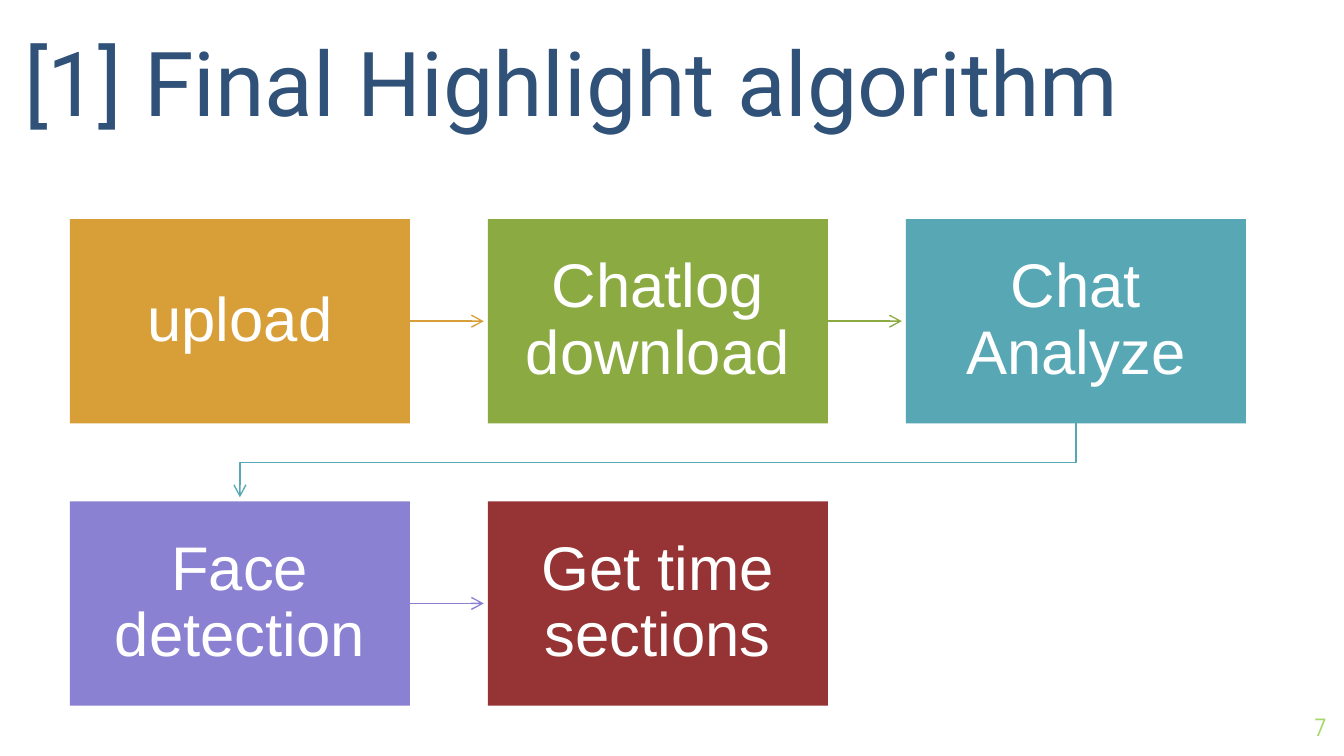
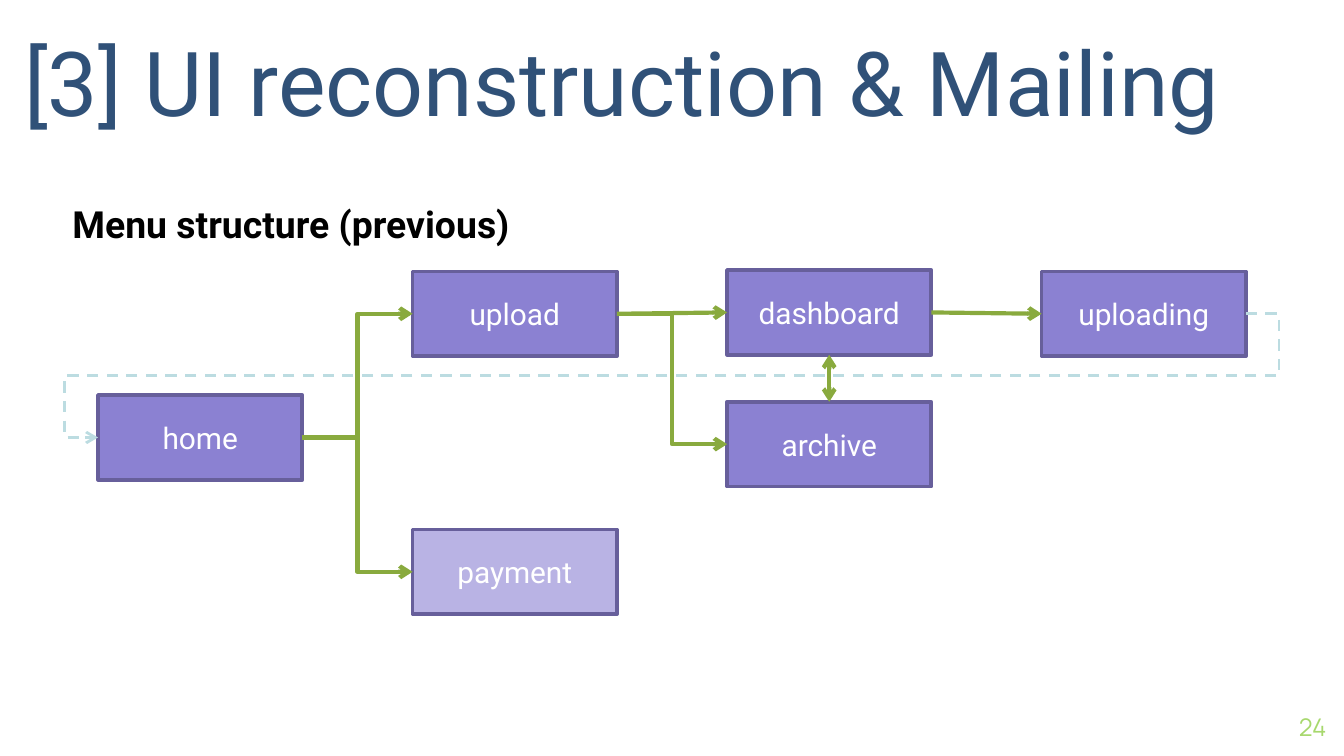
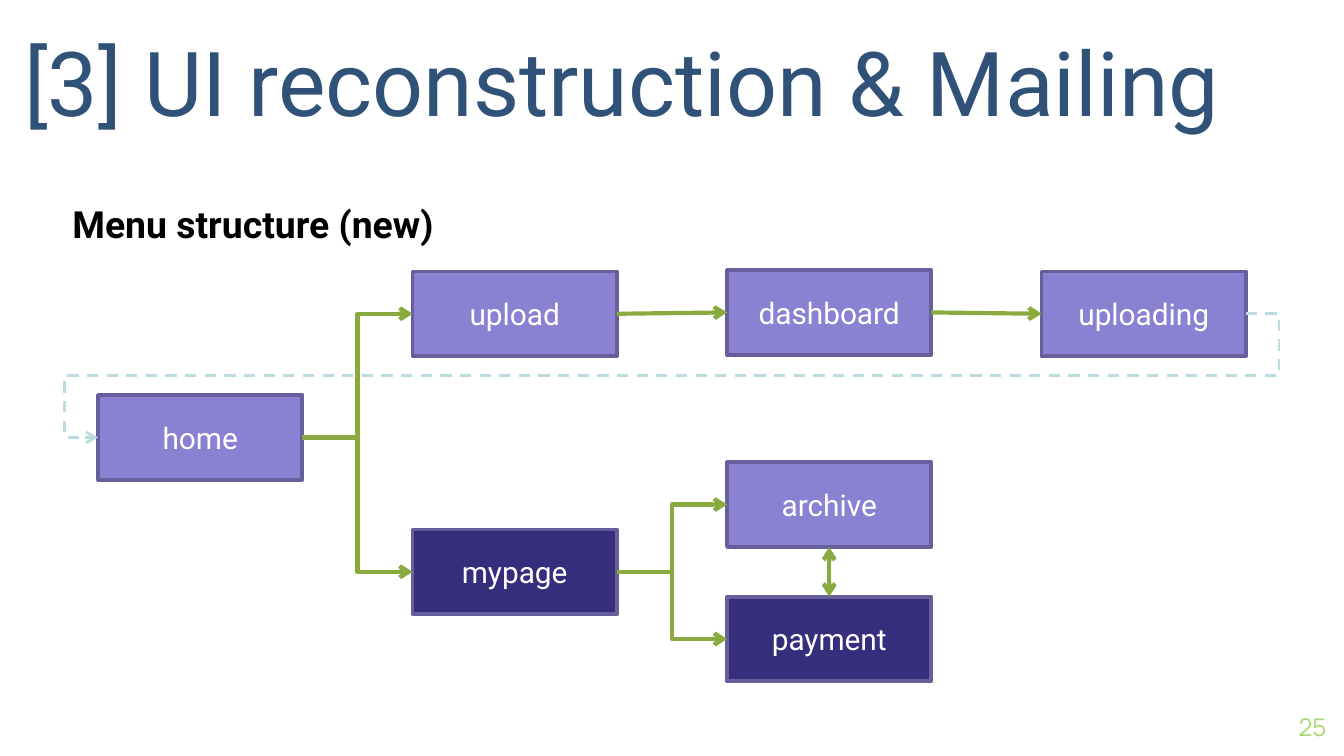
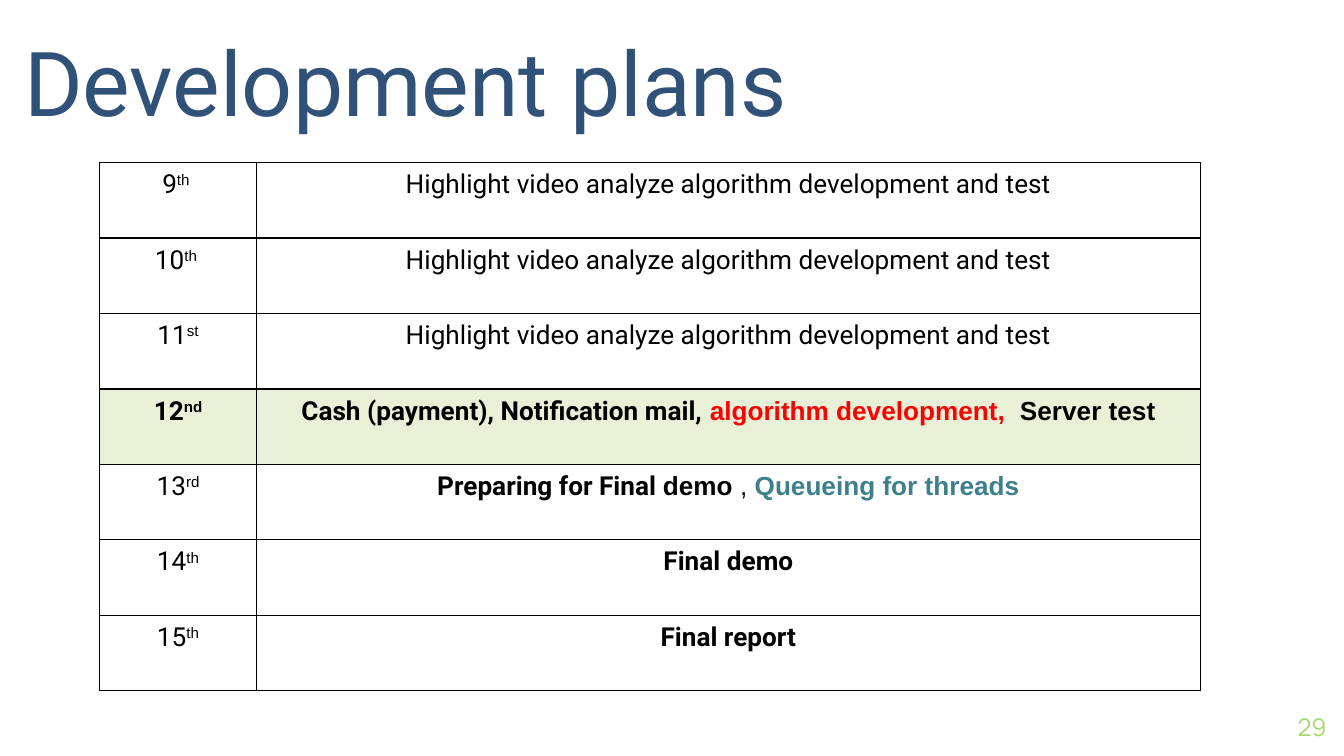
"""Build four project slides: algorithm flow, two menu structures and the development plan."""
from pptx import Presentation
from pptx.dml.color import RGBColor
from pptx.enum.dml import MSO_LINE
from pptx.enum.shapes import MSO_CONNECTOR, MSO_SHAPE
from pptx.enum.text import MSO_ANCHOR, MSO_AUTO_SIZE, PP_ALIGN
from pptx.oxml.ns import qn
from pptx.util import Inches, Pt
from lxml.etree import SubElement

COLORS = {
    "title": "305178", "number": "A7D86D", "white": "FFFFFF", "black": "000000",
    "orange": "D89F39", "green": "8BAB42", "teal": "57A7B5", "purple": "8B81D2",
    "maroon": "963334", "pale": "B9B3E4", "dark": "372D7D", "outline": "675F9B",
    "link": "89AA3E", "loop": "BCDCE1", "current": "E8F0D8", "alert": "FF0000",
    "extra": "3D808C",
}
SANS, PLAIN, NUMERAL = "Roboto", "Arial", "Manrope"

STEPS = [
    ("upload", "orange"), ("Chatlog download", "green"), ("Chat Analyze", "teal"),
    ("Face detection", "purple"), ("Get time sections", "maroon"),
]
STEP_LEFT, STEP_TOP, STEP_WIDTH, STEP_HEIGHT = 0.52, 1.63, 2.53, 1.52
STEP_PITCH_X, STEP_PITCH_Y, STEP_COLUMNS = 3.11, 2.1, 3
ARROW_LENGTH = 0.55

MENU_LEFT, MENU_PITCH, MENU_WIDTH, MENU_HEIGHT = 0.73, 2.34, 1.52, 0.63
TOP, LEFT, BOTTOM, RIGHT = range(4)
COMMON_BOXES = {
    "home": (0, 2.94, "purple"), "upload": (1, 2.02, "purple"),
    "dashboard": (2, 2.01, "purple"), "uploading": (3, 2.02, "purple"),
}
COMMON_LINKS = [("home", "upload"), ("upload", "dashboard"), ("dashboard", "uploading")]
STRAIGHT_LINKS = COMMON_LINKS[1:]
MENUS = [
    {
        "number": 24, "heading": "Menu structure (previous)", "heading_width": 3.62,
        "boxes": {"payment": (1, 3.94, "pale"), "archive": (2, 2.99, "purple")},
        "links": [("home", "payment"), ("upload", "archive")],
        "two_way": ("archive", "dashboard"),
    },
    {
        "number": 25, "heading": "Menu structure (new)", "heading_width": 3.06,
        "boxes": {"mypage": (1, 3.94, "dark"), "archive": (2, 3.44, "purple"),
                  "payment": (2, 4.44, "dark")},
        "links": [("home", "mypage"), ("mypage", "archive"), ("mypage", "payment")],
        "two_way": ("payment", "archive"),
    },
]

ANALYSIS = [("Highlight video analyze algorithm development and test", SANS, False, "black")]
PLANS = [
    ("9", "th ", ANALYSIS),
    ("10", "th ", ANALYSIS),
    ("11", "st", ANALYSIS),
    ("12", "nd", [("Cash (payment), Notification mail,", SANS, True, "black"),
                  (" algorithm development, ", PLAIN, True, "alert"),
                  (" Server test", PLAIN, True, "black")]),
    ("13", "rd", [("Preparing for Final ", SANS, True, "black"),
                  ("demo", PLAIN, True, "black"),
                  (" , ", PLAIN, False, "black"),
                  ("Queueing for threads", PLAIN, True, "extra")]),
    ("14", "th", [("Final demo", SANS, True, "black")]),
    ("15", "th", [("Final report", SANS, True, "black")]),
]
CURRENT_WEEK = "12"
PLAN_COLUMNS, PLAN_HEIGHT = (1.17, 7.02), 3.93


def rgb(name):
    return RGBColor.from_string(COLORS[name])


def style(span, size, font, color, bold=False):
    span.font.size, span.font.name, span.font.bold = Pt(size), font, bold
    span.font.color.rgb = rgb(color)


def write(frame, text, size, font, color, align=PP_ALIGN.LEFT, bold=False):
    frame.text = text
    para = frame.paragraphs[0]
    para.alignment = align
    style(para.runs[0], size, font, color, bold)


def set_insets(frame, inset):
    frame.margin_left = frame.margin_right = Inches(inset)
    frame.margin_top = frame.margin_bottom = Inches(inset)


def new_page(deck, title, title_width, number):
    page = deck.slides.add_slide(deck.slide_layouts[5])
    heading = page.shapes.title
    heading.left, heading.top = Inches(0.18), Inches(0.06)
    heading.width, heading.height = Inches(title_width), Inches(0.94)
    counter = page.shapes.add_textbox(Inches(9.27), Inches(5.19), Inches(0.6), Inches(0.43))
    for box, anchor in ((heading, MSO_ANCHOR.BOTTOM), (counter, MSO_ANCHOR.MIDDLE)):
        frame = box.text_frame
        frame.word_wrap, frame.auto_size = True, MSO_AUTO_SIZE.NONE
        frame.vertical_anchor = anchor
        set_insets(frame, 0)
    write(heading.text_frame, title, 48, SANS, "title")
    write(counter.text_frame, str(number), 13, NUMERAL, "number", PP_ALIGN.RIGHT)
    return page


def add_box(page, left, top, width, height, fill, text, size, font):
    box = page.shapes.add_shape(MSO_SHAPE.RECTANGLE, Inches(left), Inches(top),
                                Inches(width), Inches(height))
    box.shadow.inherit = False
    box.fill.solid()
    box.fill.fore_color.rgb = rgb(fill)
    box.line.fill.background()
    write(box.text_frame, text, size, font, "white", PP_ALIGN.CENTER)
    return box


def style_line(line, color, width, ends=("tailEnd",), dash=None):
    line.line.color.rgb = rgb(color)
    line.line.width = Pt(width)
    if dash:
        line.line.dash_style = dash
    properties = line._element.spPr
    for end in ends:
        SubElement(properties.find(qn("a:ln")), qn("a:" + end), type="arrow")
    if properties.find(qn("a:effectLst")) is None:
        SubElement(properties, qn("a:effectLst"))


def add_link(page, start, start_site, finish, finish_site, kind):
    link = page.shapes.add_connector(kind, 0, 0, 0, 0)
    link.begin_connect(start, start_site)
    link.end_connect(finish, finish_site)
    return link


def build_algorithm(deck):
    page = new_page(deck, "[1] Final Highlight algorithm", 8.61, 7)
    for index, (text, color) in enumerate(STEPS):
        row, column = divmod(index, STEP_COLUMNS)
        left = STEP_LEFT + column * STEP_PITCH_X
        top = STEP_TOP + row * STEP_PITCH_Y
        box = add_box(page, left, top, STEP_WIDTH, STEP_HEIGHT, color, text, 33, PLAIN)
        set_insets(box.text_frame, 0.26)
        box.text_frame.paragraphs[0].line_spacing = 0.9
        if index == len(STEPS) - 1:
            continue
        if column < STEP_COLUMNS - 1:
            start, middle = left + STEP_WIDTH, top + STEP_HEIGHT / 2
            arrow = page.shapes.add_connector(
                MSO_CONNECTOR.STRAIGHT, Inches(start), Inches(middle),
                Inches(start + ARROW_LENGTH), Inches(middle))
        else:
            start, finish = left + STEP_WIDTH / 2, STEP_LEFT + STEP_WIDTH / 2
            bottom = top + STEP_HEIGHT
            turn = (top + STEP_PITCH_Y + bottom) / 2
            builder = page.shapes.build_freeform(Inches(start), Inches(bottom))
            corners = [(start, turn), (finish, turn), (finish, bottom + ARROW_LENGTH)]
            builder.add_line_segments([(Inches(x), Inches(y)) for x, y in corners], close=False)
            arrow = builder.convert_to_shape()
            arrow.fill.background()
            arrow.shadow.inherit = False
        style_line(arrow, color, 0.75)


def build_menu(deck, menu):
    page = new_page(deck, "[3] UI reconstruction & Mailing", 9.22, menu["number"])
    label = page.shapes.add_textbox(Inches(0.44), Inches(1.45),
                                    Inches(menu["heading_width"]), Inches(0.44))
    label.text_frame.word_wrap = False
    label.text_frame.auto_size = MSO_AUTO_SIZE.SHAPE_TO_FIT_TEXT
    write(label.text_frame, menu["heading"], 20, SANS, "black", bold=True)

    boxes = {}
    for name, (column, top, color) in {**COMMON_BOXES, **menu["boxes"]}.items():
        box = add_box(page, MENU_LEFT + column * MENU_PITCH, top, MENU_WIDTH, MENU_HEIGHT,
                      color, name, 16, SANS)
        box.line.color.rgb = rgb("outline")
        box.line.width = Pt(2)
        boxes[name] = box

    for pair in COMMON_LINKS + menu["links"]:
        kind = MSO_CONNECTOR.STRAIGHT if pair in STRAIGHT_LINKS else MSO_CONNECTOR.ELBOW
        link = add_link(page, boxes[pair[0]], RIGHT, boxes[pair[1]], LEFT, kind)
        style_line(link, "link", 2.25)

    lower, upper = menu["two_way"]
    link = add_link(page, boxes[lower], TOP, boxes[upper], BOTTOM, MSO_CONNECTOR.STRAIGHT)
    style_line(link, "link", 2.25, ("headEnd", "tailEnd"))

    loop = add_link(page, boxes["uploading"], RIGHT, boxes["home"], LEFT, MSO_CONNECTOR.ELBOW)
    geometry = loop._element.spPr.find(qn("a:prstGeom"))
    geometry.set("prst", "bentConnector5")
    guides = geometry.find(qn("a:avLst"))
    for index, value in enumerate((-2900, 50000, 102900), 1):
        SubElement(guides, qn("a:gd"), name=f"adj{index}", fmla=f"val {value}")
    style_line(loop, "loop", 1.5, dash=MSO_LINE.DASH)


def fill_cell(cell, spans, fill):
    properties = cell._tc.get_or_add_tcPr()
    for side in ("lnL", "lnR", "lnT", "lnB"):
        border = SubElement(properties, qn("a:" + side), w=str(Pt(0.75)))
        SubElement(SubElement(border, qn("a:solidFill")), qn("a:srgbClr"), val=COLORS["black"])
    cell.fill.solid()
    cell.fill.fore_color.rgb = rgb(fill)
    para = cell.text_frame.paragraphs[0]
    para.alignment = PP_ALIGN.CENTER
    for text, font, bold, color in spans:
        span = para.add_run()
        span.text = text
        style(span, 14, font, color, bold)


def build_plans(deck):
    page = new_page(deck, "Development plans", 6.89, 29)
    table = page.shapes.add_table(len(PLANS), len(PLAN_COLUMNS), Inches(0.74), Inches(1.21),
                                  Inches(sum(PLAN_COLUMNS)), Inches(PLAN_HEIGHT)).table
    table.first_row = table.horz_banding = False
    for column, width in zip(table.columns, PLAN_COLUMNS):
        column.width = Inches(width)
    for row, (week, suffix, task) in zip(table.rows, PLANS):
        row.height = Inches(PLAN_HEIGHT / len(PLANS))
        current = week == CURRENT_WEEK
        fill = "current" if current else "white"
        ordinal = [(week, SANS, current, "black"), (suffix, PLAIN, current, "black")]
        fill_cell(row.cells[0], ordinal, fill)
        fill_cell(row.cells[1], task, fill)
        raised = row.cells[0].text_frame.paragraphs[0].runs[1]
        raised.font._element.set("baseline", "30000")


def main():
    deck = Presentation()
    deck.slide_width = Inches(10)
    deck.slide_height = deck.slide_width * 9 // 16
    build_algorithm(deck)
    for menu in MENUS:
        build_menu(deck, menu)
    build_plans(deck)
    deck.save("out.pptx")


if __name__ == "__main__":
    main()
